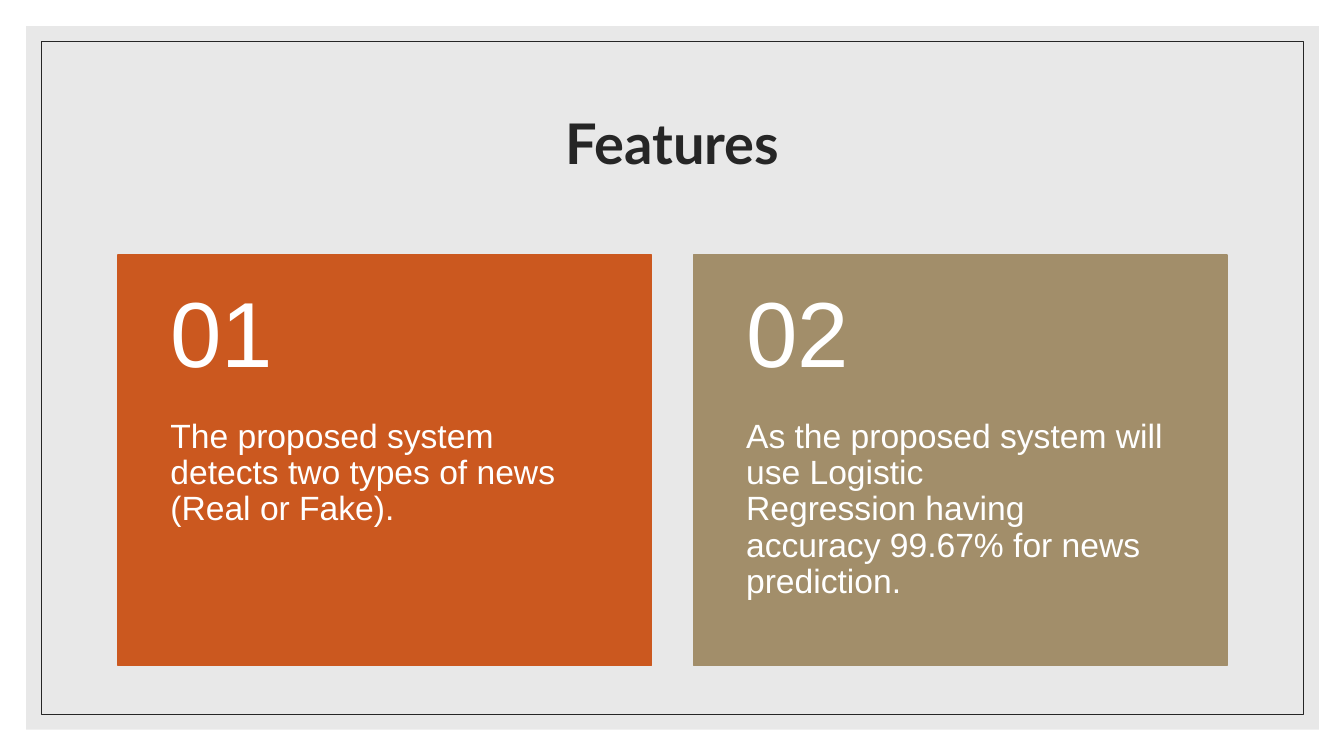
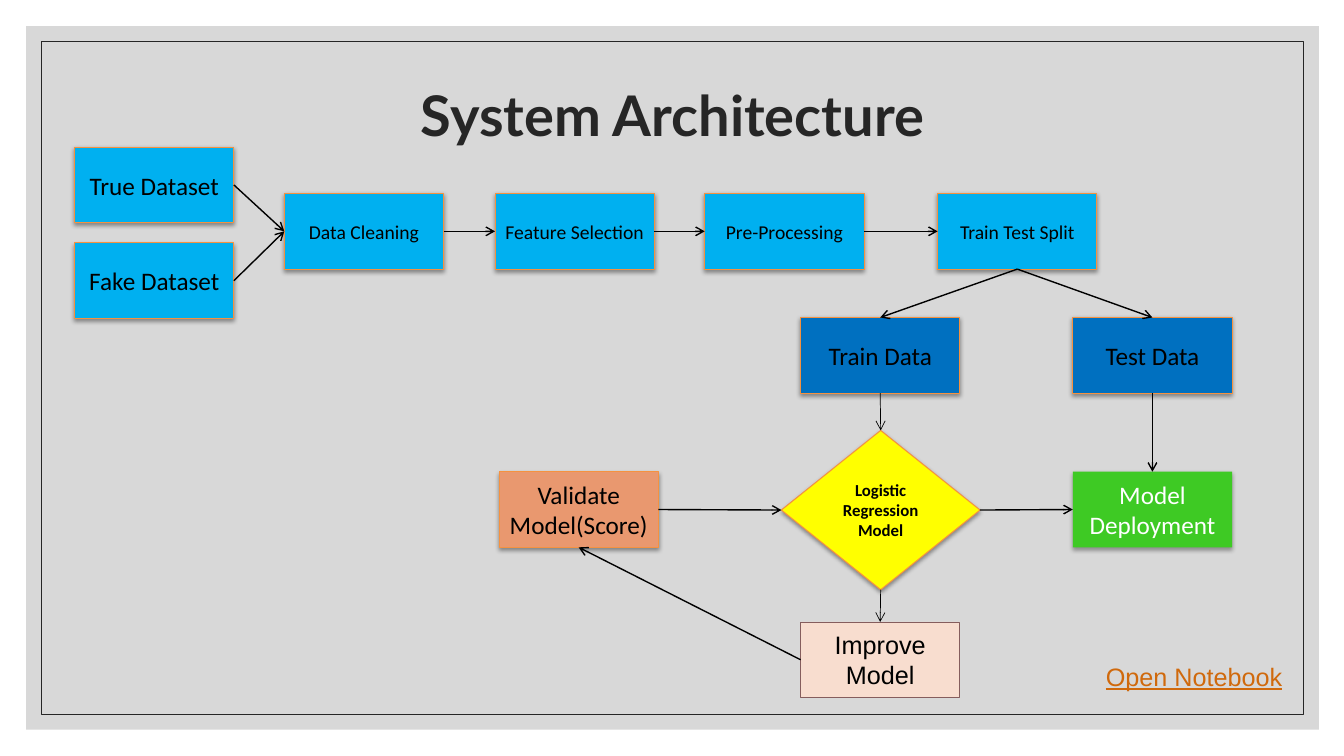
from lxml import etree
from pptx import Presentation
from pptx.dml.color import RGBColor
from pptx.enum.shapes import MSO_CONNECTOR, MSO_SHAPE
from pptx.enum.text import MSO_ANCHOR, PP_ALIGN
from pptx.oxml.ns import qn
from pptx.util import Inches, Pt

RECT, DIAMOND = MSO_SHAPE.RECTANGLE, MSO_SHAPE.DIAMOND
STRAIGHT = MSO_CONNECTOR.STRAIGHT
TOP_ANCHOR, MIDDLE = MSO_ANCHOR.TOP, MSO_ANCHOR.MIDDLE
LEFT_ALIGN, CENTER = PP_ALIGN.LEFT, PP_ALIGN.CENTER
TOP, LEFT, BOTTOM, RIGHT = range(4)  # connection sites of a box

COLORS = {
    "white": "FFFFFF", "black": "000000", "ink": "262626",
    "light band": "D9D9D9", "dark band": "BFBFBF",
    "rust": "CB581F", "khaki": "A28E6A", "link": "D0690C",
    "sky": "00B0F0", "blue": "0070C0", "green": "3ECA24",
    "salmon": "E9986F", "blush": "F8DDCF", "yellow": "FFFF00",
    "orange edge": "F59240", "mauve edge": "855D5D",
}

prs = Presentation()
prs.slide_width, prs.slide_height = Inches(13.33), Inches(7.5)


def add_box(slide, area, fill=None, edge=None, width=0.75, kind=RECT, shadow=None):
    """Preset shape; shadow is (opacity %, distance pt) or None."""
    box = slide.shapes.add_shape(kind, *map(Inches, area))
    box.shadow.inherit = False
    if fill:
        box.fill.solid()
        box.fill.fore_color.rgb = RGBColor.from_string(COLORS[fill])
    else:
        box.fill.background()
    if edge:
        box.line.color.rgb = RGBColor.from_string(COLORS[edge])
        box.line.width = Pt(width)
    else:
        box.line.fill.background()
    if shadow:
        opacity, distance = shadow
        effects = box._element.spPr.find(qn("a:effectLst"))
        outer = etree.SubElement(effects, qn("a:outerShdw"), blurRad=str(Pt(3.1)),
                                 dist=str(Pt(distance)), dir="5400000", rotWithShape="0")
        tint = etree.SubElement(outer, qn("a:srgbClr"), val=COLORS["black"])
        etree.SubElement(tint, qn("a:alpha"), val=str(opacity * 1000))
    return box


def write(holder, text, size, font, color, align=CENTER, anchor=MIDDLE,
          insets=(0.1, 0.05, 0.1, 0.05), spacing=None, bold=False):
    frame = holder.text_frame
    frame.word_wrap = True
    frame.vertical_anchor = anchor
    (frame.margin_left, frame.margin_top,
     frame.margin_right, frame.margin_bottom) = map(Inches, insets)
    paragraph = frame.paragraphs[0]
    paragraph.alignment = align
    paragraph.line_spacing = spacing
    run = paragraph.add_run()
    run.text = text
    run.font.size, run.font.name, run.font.bold = Pt(size), font, bold
    run.font.color.rgb = RGBColor.from_string(COLORS[color])
    return run


# Shared frame and title
slides = []
for title, title_top, band in [("Features", 0.7, "light band"),
                               ("System Architecture", 0.42, "dark band")]:
    slide = prs.slides.add_slide(prs.slide_layouts[6])
    panel = add_box(slide, (0.26, 0.26, 12.82, 6.98), band)
    panel_color = panel._element.spPr.find(qn("a:solidFill"))[0]
    etree.SubElement(panel_color, qn("a:alpha"), val="60000")
    add_box(slide, (0.41, 0.41, 12.52, 6.68), edge="ink", width=0.5)
    heading = slide.shapes.add_textbox(*map(Inches, (1.17, title_top, 11, 1.5)))
    write(heading, title, 40, "Lato", "ink", spacing=0.9, bold=True)
    slides.append(slide)
features, architecture = slides

# Feature cards
CARD_TOP, CARD_W, NUMBER_H, DETAIL_H = 2.53, 5.29, 1.63, 2.44
cards = [
    ("rust", "The proposed system detects two types of news (Real or Fake)."),
    ("khaki", "As the proposed system will use Logistic Regression\u00a0having "
              "accuracy\u00a099.67% for news prediction."),
]
for i, (fill, feature) in enumerate(cards):
    x = 1.17 + 5.71 * i
    add_box(features, (x, CARD_TOP, CARD_W, NUMBER_H + DETAIL_H), fill, fill, 1)
    detail = features.shapes.add_textbox(
        *map(Inches, (x, CARD_TOP + NUMBER_H, CARD_W, DETAIL_H)))
    write(detail, feature, 24, "Arial", "white", LEFT_ALIGN, TOP_ANCHOR,
          (0.52, 0, 0.52, 0.36), 0.9)
    number = features.shapes.add_textbox(*map(Inches, (x, CARD_TOP, CARD_W, NUMBER_H)))
    write(number, f"{i + 1:02}", 66, "Arial", "white", LEFT_ALIGN, MIDDLE,
          (0.52, 0.18, 0.52, 0.18), 0.9)

# Architecture steps: label, left, top, fill, text size
STEP_W, STEP_H = 1.58, 0.75
SOFT = (38, 1.6)
steps = [
    ("True Dataset", 0.74, 1.46, "sky", 18),
    ("Fake Dataset", 0.74, 2.41, "sky", 18),
    ("Data Cleaning", 2.82, 1.92, "sky", 14),
    ("Feature Selection", 4.91, 1.92, "sky", 14),
    ("Pre-Processing", 6.99, 1.92, "sky", 14),
    ("Train Test Split", 9.3, 1.92, "sky", 14),
    ("Train Data", 7.94, 3.15, "blue", 18),
    ("Test Data", 10.64, 3.15, "blue", 18),
    ("Validate Model(Score)", 4.95, 4.68, "salmon", 18),
]
nodes = {}
for label, x, y, fill, size in steps:
    nodes[label] = add_box(architecture, (x, y, STEP_W, STEP_H), fill,
                           "orange edge", shadow=SOFT)
    write(nodes[label], label, size, "Calibri", "black")

# Model, deployment and improvement
model = add_box(architecture, (7.75, 4.27, 1.97, 1.58), "yellow", "orange edge",
                kind=DIAMOND, shadow=SOFT)
write(model, "Logistic Regression Model", 12, "Calibri", "black", bold=True)
deployment = add_box(architecture, (10.64, 4.68, STEP_W, STEP_H), "green", shadow=(35, 1.8))
write(deployment, "Model Deployment", 18, "Calibri", "white")
improvement = add_box(architecture, (7.94, 6.17, STEP_W, STEP_H), "blush", "mauve edge", 0.5)
write(improvement, "Improve Model", 18, "Arial", "black")
nodes.update(model=model, deployment=deployment, improvement=improvement)

# Arrows between the steps
arrows = [
    ("True Dataset", RIGHT, "Data Cleaning", LEFT, 1),
    ("Fake Dataset", RIGHT, "Data Cleaning", LEFT, 1),
    ("Data Cleaning", RIGHT, "Feature Selection", LEFT, 1),
    ("Feature Selection", RIGHT, "Pre-Processing", LEFT, 1),
    ("Pre-Processing", RIGHT, "Train Test Split", LEFT, 1),
    ("Train Test Split", BOTTOM, "Train Data", TOP, 1),
    ("Train Test Split", BOTTOM, "Test Data", TOP, 1),
    ("Train Data", BOTTOM, "model", TOP, 0.5),
    ("Test Data", BOTTOM, "deployment", TOP, 1),
    ("Validate Model(Score)", RIGHT, "model", LEFT, 1),
    ("model", RIGHT, "deployment", LEFT, 1),
    ("model", BOTTOM, "improvement", TOP, 0.5),
    ("improvement", LEFT, "Validate Model(Score)", BOTTOM, 1),
]
for source, exit_site, target, entry_site, width in arrows:
    arrow = architecture.shapes.add_connector(STRAIGHT, 0, 0, 0, 0)
    arrow.begin_connect(nodes[source], exit_site)
    arrow.end_connect(nodes[target], entry_site)
    arrow.line.color.rgb = RGBColor.from_string(COLORS["black"])
    arrow.line.width = Pt(width)
    etree.SubElement(arrow.line._get_or_add_ln(), qn("a:tailEnd"), type="arrow")
    etree.SubElement(arrow._element.spPr, qn("a:effectLst"))

# Notebook label
notebook = architecture.shapes.add_textbox(*map(Inches, (10.87, 6.51, 2.3, 0.4)))
notebook_run = write(notebook, "Open Notebook", 18, "Arial", "link", LEFT_ALIGN, TOP_ANCHOR)
notebook_run.font.underline = True

prs.save("out.pptx")
